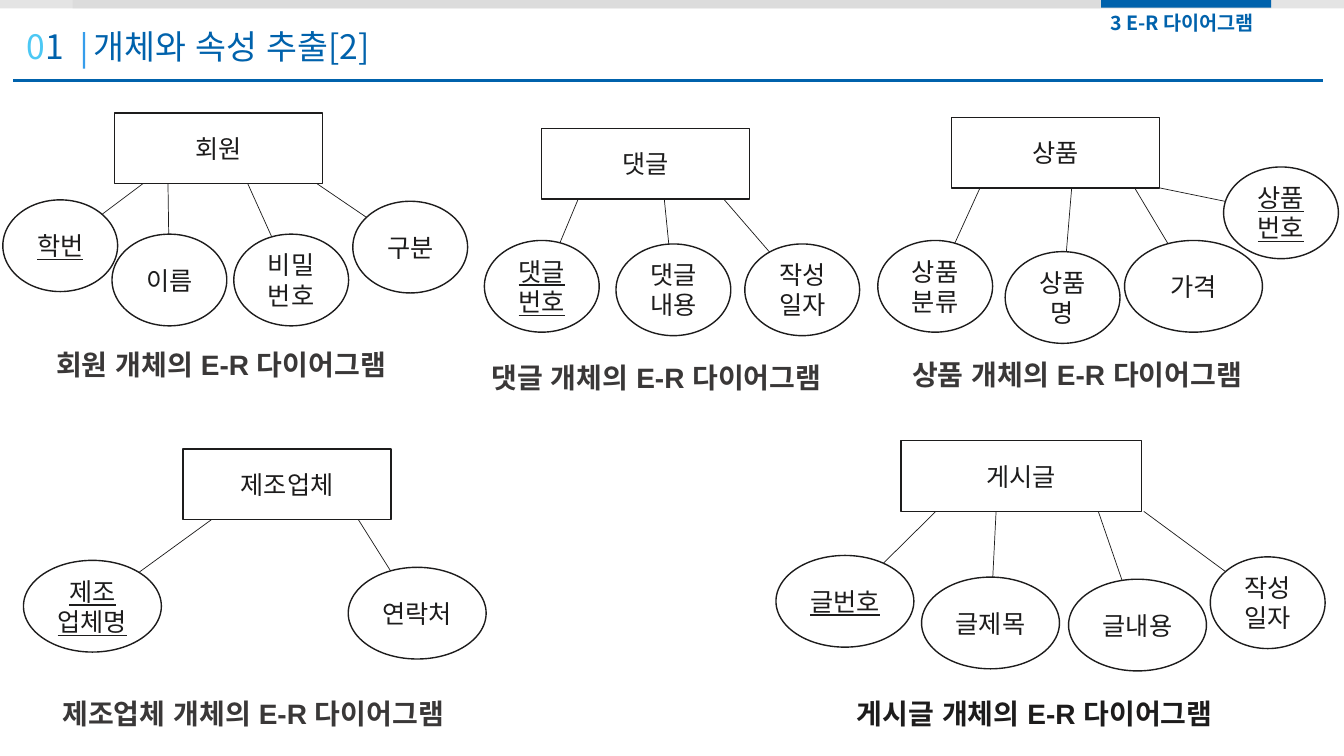
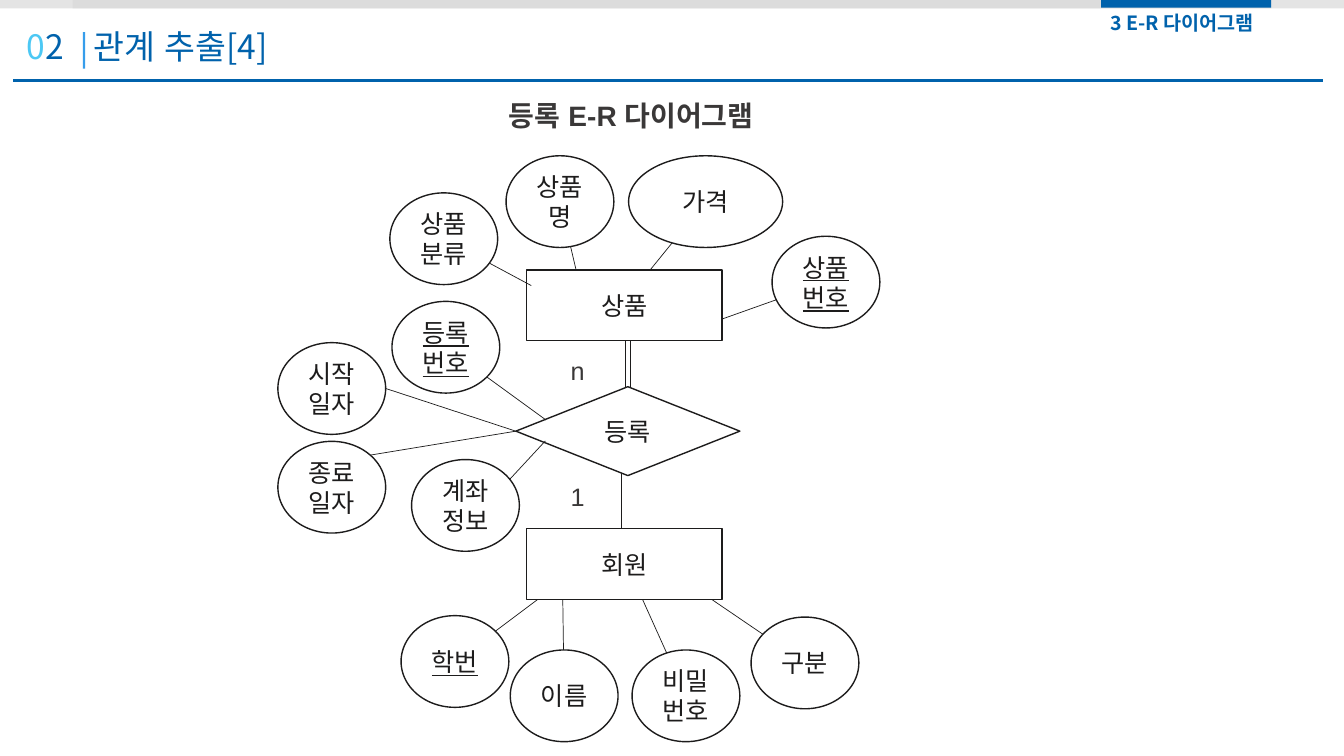
from dataclasses import dataclass
from typing import NamedTuple

from lxml.etree import SubElement
from pptx import Presentation
from pptx.dml.color import RGBColor
from pptx.enum.lang import MSO_LANGUAGE_ID
from pptx.enum.shapes import MSO_CONNECTOR, MSO_SHAPE
from pptx.enum.text import MSO_ANCHOR, PP_ALIGN
from pptx.oxml.ns import qn
from pptx.util import Pt


@dataclass(frozen=True)
class Theme:
    blue: str = "0062AC"
    sky: str = "4CC8F4"
    tick: str = "0083E6"
    gray: str = "D9D9D9"
    white: str = "FFFFFF"
    ink: str = "1D1C1C"
    caption: str = "3A3838"
    latin: str = "Arial"
    korean: str = "Noto Sans CJK KR"
    title_size: float = 24
    caption_size: float = 20
    node_size: float = 18
    section_size: float = 14
    outline: float = 1
    link_width: float = 0.5


THEME = Theme()
ENTITY_HEIGHT = 50.5
ATTRIBUTE_HEIGHT = 65.5
WIDE = 98.5
DIAMOND_LEFT = 1


class Point(NamedTuple):
    x: float
    y: float


class Box(NamedTuple):
    left: float
    top: float
    width: float
    height: float


class Attribute(NamedTuple):
    """An ellipse centred at (x, y) from its owner's centre.

    Its link leaves the owner at x + lean, on the nearer edge or at start_y,
    and runs to the ellipse's centre moved by aim.
    A lean of None joins the link to the owner's left corner.
    """
    text: str
    x: float
    y: float
    lean: float | None
    is_key: bool = False
    width: float | None = None
    start_y: float | None = None
    aim: Point = Point(0, 0)


class Owner(NamedTuple):
    text: str
    center: Point
    attributes: list[Attribute]
    caption: Point | None = None
    width: float | None = None
    height: float = ENTITY_HEIGHT
    preset: MSO_SHAPE = MSO_SHAPE.RECTANGLE
    shift: float = 0
    caption_color: str = THEME.caption


class Relation(NamedTuple):
    """Vertical lines between two owners, with the cardinality beside them."""
    upper: Owner
    lower: Owner
    columns: list[float]
    label: str
    label_top: float


class Diagram(NamedTuple):
    number: str
    title: str
    entity_width: float
    attribute_width: float
    owners: list[Owner]
    relations: list[Relation]
    heading: Point | None = None


MEMBER_ATTRIBUTES = [
    Attribute("학번", -113, 69.5, 59, True),
    Attribute("이름", -35, 94, -1),
    Attribute("비밀번호", 52, 94, -31),
    Attribute("구분", 137, 70.5, -66.5),
]
ENTITIES = [
    Owner("회원", Point(156, 106), MEMBER_ATTRIBUTES, Point(33, 245)),
    Owner("상품", Point(754, 109), [
        Attribute("상품분류", -86, 95.5, 32),
        Attribute("상품명", 5, 103.5, 6.5),
        Attribute("가격", 98.5, 95.5, -42, width=WIDE),
        Attribute("상품번호", 161, 43, -86.5, True),
    ], Point(644.5, 251.5)),
    Owner("제조업체", Point(205, 346), [
        Attribute("제조\n업체명", -139, 87, 85, True, WIDE),
        Attribute("연락처", 93, 92, -42, width=WIDE),
    ], Point(37.5, 494)),
    Owner("게시글", Point(729.5, 340), [
        Attribute("글번호", -126, 89.5, 65, True, WIDE),
        Attribute("글제목", -22, 105, 4, width=WIDE),
        Attribute("글내용", 83, 106.5, -28, width=WIDE),
        Attribute("작성일자", 176, 90.5, -88.5),
    ], Point(605, 494), width=172, caption_color=THEME.ink),
    Owner("댓글", Point(461, 117), [
        Attribute("댓글번호", -74, 87.5, 26, True),
        Attribute("댓글내용", 20, 90, -6.5),
        Attribute("작성일자", 112, 90, -56),
    ], Point(344, 254)),
]
MEMBER = Owner("회원", Point(446, 403), MEMBER_ATTRIBUTES, shift=-8)
REGISTRATION = Owner("등록", Point(448.5, 308), [
    Attribute("계좌정보", -116, 53, 57, start_y=7, aim=Point(19, -5)),
    Attribute("등록번호", -130, -60, 71.5, True, start_y=-8),
    Attribute("시작일자", -211.5, -30.5, None, aim=Point(38.5, 0)),
    Attribute("종료일자", -211.5, 40, None, aim=Point(28, -23)),
], width=160, height=63.5, preset=MSO_SHAPE.DIAMOND)
PRODUCT = Owner("상품", Point(446, 218), [
    Attribute("상품명", -46, -74, 11.5),
    Attribute("가격", 58, -74, -39.5, width=110),
    Attribute("상품번호", 144, -16.5, -74.5, True, start_y=10),
    Attribute("상품분류", -129, -47.5, 62.5, start_y=-14),
])
DIAGRAMS = [
    Diagram("1", "개체와 속성 추출[2]", 148.5, 82, ENTITIES, []),
    Diagram("2", "관계 추출[4]", 139.5, 77, [MEMBER, REGISTRATION, PRODUCT], [
        Relation(PRODUCT, REGISTRATION, [446.5, 450], "n", 250.5),
        Relation(REGISTRATION, MEMBER, [443.5], "1", 340.5),
    ], Point(356.5, 67)),
]


def centered(center: Point, width: float, height: float) -> Box:
    return Box(center.x - width / 2, center.y - height / 2, width, height)


def set_opacity(shape, percent: int) -> None:
    for color in shape.element.spPr.iter(qn("a:srgbClr")):
        SubElement(color, qn("a:alpha"), val=str(percent * 1000))


def add_span(para, text: str, size: float, color: str, latin: str = THEME.latin,
             **extra: bool) -> None:
    span = para.add_run()
    span.text = text
    values = {"size": Pt(size), "name": latin,
              "language_id": MSO_LANGUAGE_ID.KOREAN, **extra}
    for name, value in values.items():
        setattr(span.font, name, value)
    span.font.color.rgb = RGBColor.from_string(color)
    east_asian = SubElement(span.font._element, qn("a:ea"))
    east_asian.set("typeface", THEME.korean)


def add_text_box(page, box: Box):
    """Return the first paragraph of a new wrapping text box."""
    frame = page.shapes.add_textbox(*map(Pt, box)).text_frame
    frame.word_wrap = True
    return frame.paragraphs[0]


def add_caption(page, corner: Point, text: str, width: float, color: str) -> None:
    para = add_text_box(page, Box(*corner, width, 31.5))
    add_span(para, text, THEME.caption_size, color, bold=True)


def add_solid(page, preset: MSO_SHAPE, box: Box, fill: str):
    shape = page.shapes.add_shape(preset, *map(Pt, box))
    shape.shadow.inherit = False
    shape.fill.solid()
    shape.fill.fore_color.rgb = RGBColor.from_string(fill)
    shape.line.fill.background()
    return shape


def add_node(page, preset: MSO_SHAPE, box: Box, text: str, underline: bool = False):
    node = add_solid(page, preset, box, THEME.white)
    node.line.color.rgb = RGBColor.from_string(THEME.ink)
    node.line.width = Pt(THEME.outline)
    frame = node.text_frame
    frame.word_wrap = True
    frame.vertical_anchor = MSO_ANCHOR.MIDDLE
    for index, line in enumerate(text.split("\n")):
        para = frame.add_paragraph() if index else frame.paragraphs[0]
        para.alignment = PP_ALIGN.CENTER
        add_span(para, line, THEME.node_size, THEME.ink, underline=underline)
    return node


def add_line(page, start: Point, end: Point, color: str = THEME.ink,
             width: float = THEME.link_width):
    line = page.shapes.add_connector(MSO_CONNECTOR.STRAIGHT, *map(Pt, (*start, *end)))
    line.line.color.rgb = RGBColor.from_string(color)
    line.line.width = Pt(width)
    SubElement(line.element.spPr, qn("a:effectLst"))
    return line


def add_header(page, number: str, title: str) -> None:
    for left in (52, 0):
        bar = add_solid(page, MSO_SHAPE.RECTANGLE, Box(left, 0, 908, 6), THEME.gray)
        set_opacity(bar, 70)
    add_solid(page, MSO_SHAPE.RECTANGLE, Box(786.5, -0.5, 121.5, 6), THEME.blue)

    para = add_text_box(page, Box(12, 15, 508, 36))
    tabs = SubElement(para._p.get_or_add_pPr(), qn("a:tabLst"))
    SubElement(tabs, qn("a:tab"), pos=str(Pt(47.5)), algn="l")
    for text, color in (("0", THEME.sky), (f"{number}\t{title}", THEME.blue)):
        add_span(para, text, THEME.title_size, color, THEME.korean)

    tick = add_line(page, Point(60, 23), Point(60, 49), THEME.tick, 1.5)
    set_opacity(tick, 78)
    add_line(page, Point(9.5, 57.5), Point(945, 57.5), THEME.blue, 2.25)
    section = add_text_box(page, Box(786, 4, 126, 24.5))
    add_span(section, "3 E-R 다이어그램", THEME.section_size, THEME.blue,
             THEME.korean, bold=True)


def add_owner(page, owner: Owner, diagram: Diagram) -> None:
    """Draw an entity or relationship, its links, its attributes and caption."""
    width = owner.width or diagram.entity_width
    box = centered(owner.center, width, owner.height)
    node = add_node(page, owner.preset, box, owner.text)
    middles = [Point(owner.center.x + owner.shift + item.x, owner.center.y + item.y)
               for item in owner.attributes]
    for item, middle in zip(owner.attributes, middles):
        edge = owner.height / 2 if item.y > 0 else -owner.height / 2
        drop = edge if item.start_y is None else item.start_y
        start = Point(middle.x + (item.lean or 0), owner.center.y + drop)
        end = Point(middle.x + item.aim.x, middle.y + item.aim.y)
        link = add_line(page, start, end)
        if item.lean is None:
            link.begin_connect(node, DIAMOND_LEFT)
    for item, middle in zip(owner.attributes, middles):
        ellipse = centered(middle, item.width or diagram.attribute_width, ATTRIBUTE_HEIGHT)
        add_node(page, MSO_SHAPE.OVAL, ellipse, item.text, item.is_key)
    if owner.caption:
        add_caption(page, owner.caption, f"{owner.text} 개체의 E-R 다이어그램",
                    228 + 20 * len(owner.text), owner.caption_color)


def add_relation(page, relation: Relation) -> None:
    for x in relation.columns:
        add_line(page, Point(x, relation.upper.center.y), Point(x, relation.lower.center.y))
    para = add_text_box(page, Box(400.5, relation.label_top, 28, 29))
    add_span(para, relation.label, THEME.node_size, THEME.caption)


def add_diagram(deck, diagram: Diagram) -> None:
    page = deck.slides.add_slide(deck.slide_layouts[6])
    add_header(page, diagram.number, diagram.title)
    for relation in diagram.relations:
        add_relation(page, relation)
    for owner in diagram.owners:
        add_owner(page, owner, diagram)
    if diagram.heading:
        add_caption(page, diagram.heading, "등록 E-R 다이어그램", 208, THEME.caption)


def main() -> None:
    deck = Presentation()
    deck.slide_width, deck.slide_height = Pt(960), Pt(540)
    for diagram in DIAGRAMS:
        add_diagram(deck, diagram)
    deck.save("out.pptx")


if __name__ == "__main__":
    main()
